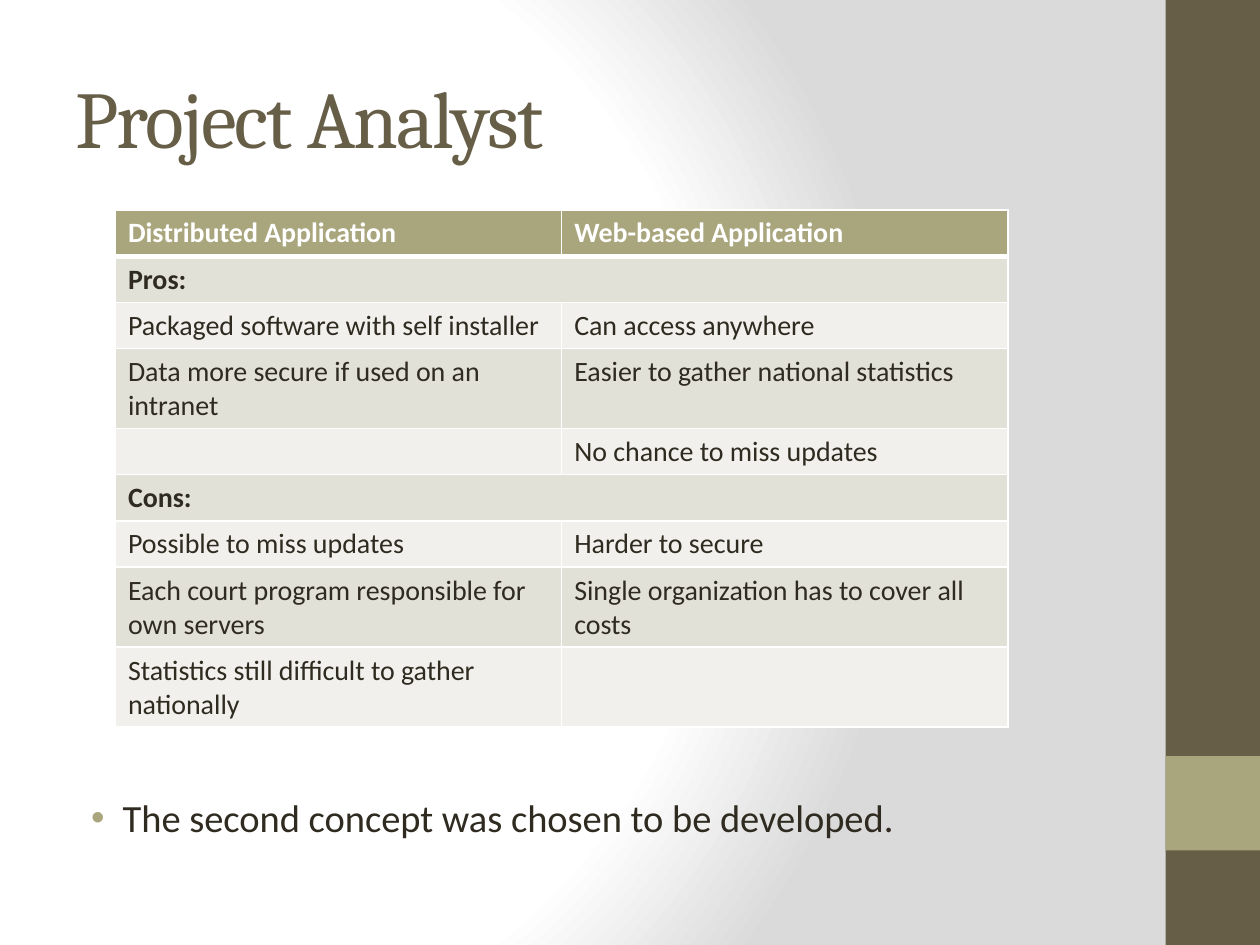
from dataclasses import dataclass

from lxml.etree import SubElement
from pptx import Presentation
from pptx.dml.color import RGBColor
from pptx.enum.shapes import MSO_SHAPE as SHAPE
from pptx.enum.text import MSO_ANCHOR as ANCHOR
from pptx.oxml import parse_xml
from pptx.oxml.ns import nsdecls, qn
from pptx.util import Pt

COLORS = {
    "brown": "675E47", "olive": "A9A57C", "ink": "2F2B20", "white": "FFFFFF",
    "band_dark": "E2E1D7", "band_light": "F1F0EC", "gray": "DADADA",
}
WIDTH, HEIGHT = 720, 540
BAR_LEFT, BAR_WIDTH = 666, 54
TEXT_LEFT, TEXT_WIDTH = 36, 600
TABLE_LEFT, TABLE_TOP, COL_WIDTH, ROW_HEIGHT = 66, 120, 255, 24
CELL_SIZE = 16


@dataclass
class Bar:
    """A rectangle of the side strip."""
    top: float
    height: float
    color: str


@dataclass
class Row:
    """A table row; a section row spans both columns."""
    left: str
    right: str = ""
    section: bool = False
    height: float = ROW_HEIGHT


BARS = [Bar(0, HEIGHT, "brown"), Bar(432, BAR_WIDTH, "olive")]
ROWS = [
    Row("Distributed Application", "Web-based Application"),
    Row("Pros:", section=True),
    Row("Packaged software with self installer", "Can access anywhere"),
    Row("Data more secure if used on an intranet",
        "Easier to gather national statistics", height=32.4),
    Row("", "No chance to miss updates"),
    Row("Cons:", section=True),
    Row("Possible to miss updates", "Harder to secure"),
    Row("Each court program responsible for own servers",
        "Single organization has to cover all costs"),
    Row("Statistics still difficult to gather nationally"),
]


def rgb(name: str) -> RGBColor:
    """Look up a named colour."""
    return RGBColor.from_string(COLORS[name])


def style_runs(p, size: float, color: str, font="Calibri", bold=False) -> None:
    """Format every run of a paragraph."""
    for r in p.runs:
        r.font.size, r.font.name, r.font.bold = Pt(size), font, bold
        r.font.color.rgb = rgb(color)


def set_background(slide) -> None:
    """Give the slide a radial gradient from white to gray."""
    stops = "".join(
        f'<a:gs pos="{pos}000"><a:srgbClr val="{COLORS[name]}"/></a:gs>'
        for pos, name in ((0, "white"), (75, "white"), (100, "gray")))
    bg = parse_xml(
        f'<p:bg {nsdecls("p", "a")}><p:bgPr><a:gradFill rotWithShape="1">'
        f'<a:gsLst>{stops}</a:gsLst><a:path path="circle">'
        '<a:fillToRect l="20000" t="50000" r="100000" b="50000"/></a:path>'
        '</a:gradFill><a:effectLst/></p:bgPr></p:bg>')
    slide.element.cSld.insert(0, bg)


def add_bar(slide, bar: Bar) -> None:
    """Draw one block of the side strip."""
    sp = slide.shapes.add_shape(SHAPE.RECTANGLE, Pt(BAR_LEFT), Pt(bar.top),
                                Pt(BAR_WIDTH), Pt(bar.height))
    sp.shadow.inherit = False
    sp.fill.solid()
    sp.fill.fore_color.rgb = rgb(bar.color)
    sp.line.fill.background()


def add_text(slide, text: str, top: float, height: float):
    """Add a wrapped text box and return its text frame."""
    sp = slide.shapes.add_textbox(Pt(TEXT_LEFT), Pt(top), Pt(TEXT_WIDTH), Pt(height))
    tf = sp.text_frame
    tf.word_wrap = True
    tf.text = text
    return tf


def add_title(slide, text: str) -> None:
    """Add the slide title with tightened letters."""
    tf = add_text(slide, text, 21.6, 90)
    tf.vertical_anchor = ANCHOR.MIDDLE
    p = tf.paragraphs[0]
    style_runs(p, 46, "brown", "Cambria")
    p.runs[0].font._element.set("spc", "-100")


def add_bullet(slide, text: str) -> None:
    """Add the bulleted conclusion."""
    p = add_text(slide, text, 450, 54).paragraphs[0]
    style_runs(p, 22, "ink")
    pPr = p._p.get_or_add_pPr()
    pPr.set("marL", str(Pt(27)))
    pPr.set("indent", str(Pt(-18)))
    before = SubElement(pPr, qn("a:spcBef"))
    SubElement(before, qn("a:spcPct")).set("val", "20000")
    color = SubElement(pPr, qn("a:buClr"))
    SubElement(color, qn("a:srgbClr")).set("val", COLORS["olive"])
    SubElement(pPr, qn("a:buFont")).set("typeface", "Arial")
    SubElement(pPr, qn("a:buChar")).set("char", "•")


def set_borders(cell, top: float, bottom: float) -> None:
    """Draw white cell borders of the given widths."""
    tcPr = cell._tc.get_or_add_tcPr()
    for side, width in (("L", 1), ("R", 1), ("T", top), ("B", bottom)):
        ln = SubElement(tcPr, qn(f"a:ln{side}"))
        ln.set("w", str(Pt(width)))
        fill = SubElement(ln, qn("a:solidFill"))
        SubElement(fill, qn("a:srgbClr")).set("val", COLORS["white"])


def fill_cell(cell, text: str, row_index: int, bold: bool) -> None:
    """Set the text, borders and fill of one cell."""
    header = row_index == 0
    band = "band_dark" if row_index % 2 else "band_light"
    set_borders(cell, 3 if row_index == 1 else 1, 3 if header else 1)
    cell.fill.solid()
    cell.fill.fore_color.rgb = rgb("olive" if header else band)
    p = cell.text_frame.paragraphs[0]
    if text:
        p.text = text
        style_runs(p, CELL_SIZE, "white" if header else "ink", bold=bold)
    else:
        SubElement(p._p, qn("a:endParaRPr")).set("sz", str(CELL_SIZE * 100))


def add_comparison(slide, rows: list[Row]) -> None:
    """Add the table that compares both concepts."""
    frame = slide.shapes.add_table(
        len(rows), 2, Pt(TABLE_LEFT), Pt(TABLE_TOP), Pt(2 * COL_WIDTH),
        Pt(sum(row.height for row in rows)))
    table = frame.table
    table.first_row = table.horz_banding = False
    for column in table.columns:
        column.width = Pt(COL_WIDTH)
    for i, row in enumerate(rows):
        table.rows[i].height = Pt(row.height)
        for j, text in enumerate((row.left, row.right)):
            fill_cell(table.cell(i, j), text, i, i == 0 or row.section)
        if row.section:
            table.cell(i, 0).merge(table.cell(i, 1))


def main() -> None:
    """Build and save the slide."""
    prs = Presentation()
    prs.slide_width, prs.slide_height = Pt(WIDTH), Pt(HEIGHT)
    slide = prs.slides.add_slide(prs.slide_layouts[6])
    set_background(slide)
    for bar in BARS:
        add_bar(slide, bar)
    add_title(slide, "Project Analyst")
    add_bullet(slide, "The second concept was chosen to be developed.")
    add_comparison(slide, ROWS)
    prs.save("out.pptx")


main()
